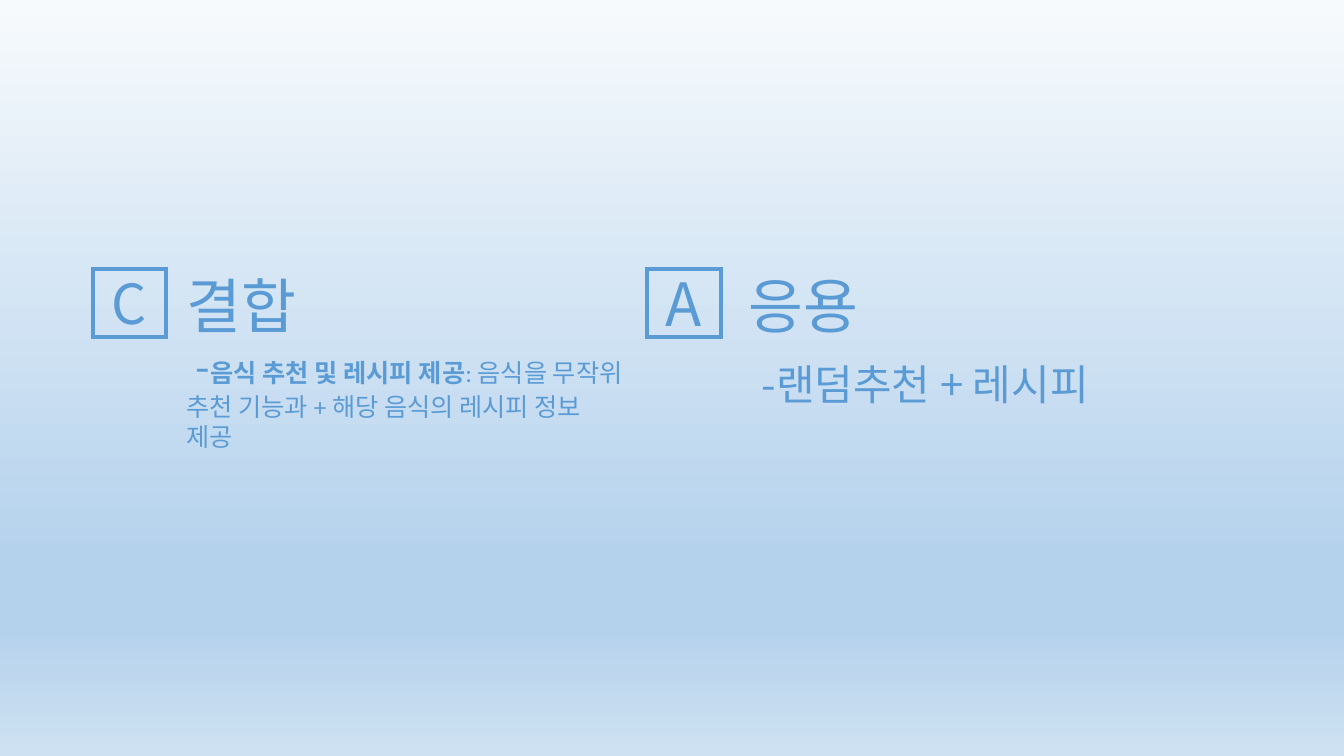
from dataclasses import dataclass

from lxml.etree import SubElement
from pptx import Presentation
from pptx.dml.color import RGBColor
from pptx.enum.shapes import MSO_SHAPE
from pptx.enum.text import MSO_ANCHOR, MSO_AUTO_SIZE, PP_ALIGN
from pptx.oxml.ns import qn
from pptx.util import Inches, Pt


@dataclass(frozen=True)
class Theme:
    blue: RGBColor = RGBColor(0x5B, 0x9B, 0xD5)
    sky: tuple = ((0, "F7FAFD"), (74, "B5D2EC"), (83, "B5D2EC"), (100, "CEE1F2"))
    korean: str = "Noto Sans CJK KR"
    latin: str = "Calibri"
    heading: float = 42.6
    letter_c: float = 39.4
    idea: float = 30
    detail: float = 18
    spacing: float = 1.0


THEME = Theme()


def paint_sky(slide):
    fill = slide.background.fill
    fill.gradient()
    fill.gradient_angle = 270
    stops = slide.element.find(".//" + qn("a:gsLst"))
    for stop in list(stops):
        stops.remove(stop)
    for percent, color in THEME.sky:
        stop = SubElement(stops, qn("a:gs"), pos=str(percent * 1000))
        SubElement(stop, qn("a:srgbClr"), val=color)


def add_run(paragraph, text, size, latin=THEME.korean, bold=False):
    run = paragraph.add_run()
    run.text = text
    run.font.size = Pt(size)
    run.font.bold = bold
    run.font.color.rgb = THEME.blue
    run.font.name = latin
    SubElement(run.font._element, qn("a:ea"), typeface=THEME.korean)


def add_badge(slide, left, top, letter, size):
    badge = slide.shapes.add_shape(
        MSO_SHAPE.RECTANGLE, Inches(left), Inches(top), Inches(0.73), Inches(0.67))
    badge.shadow.inherit = False
    badge.fill.background()
    badge.line.color.rgb = THEME.blue
    badge.line.width = Pt(3)
    SubElement(badge.element.find(".//" + qn("a:ln")), qn("a:miter"), lim="800000")
    frame = badge.text_frame
    frame.word_wrap = False
    frame.vertical_anchor = MSO_ANCHOR.MIDDLE
    frame.paragraphs[0].alignment = PP_ALIGN.CENTER
    add_run(frame.paragraphs[0], letter, size)


def fill_body(body, left, top, width, height, paragraphs):
    body.left, body.top = Inches(left), Inches(top)
    body.width, body.height = Inches(width), Inches(height)
    frame = body.text_frame
    frame.word_wrap = True
    frame.auto_size = MSO_AUTO_SIZE.NONE
    frame.vertical_anchor = MSO_ANCHOR.TOP
    frame.margin_left = frame.margin_right = frame.margin_top = frame.margin_bottom = 0
    for index, runs in enumerate(paragraphs):
        paragraph = frame.add_paragraph() if index else frame.paragraphs[0]
        properties = paragraph._p.get_or_add_pPr()
        properties.set("marL", "0")
        properties.set("indent", "0")
        SubElement(properties, qn("a:buNone"))
        paragraph.line_spacing = THEME.spacing
        paragraph.space_before = Pt(0)
        for run in runs:
            add_run(paragraph, *run)


def add_technique(slide, body, box, text_offset, letter, letter_size, heading, idea):
    left, top, width, height = box
    add_badge(slide, left, top, letter, letter_size)
    fill_body(body, left + text_offset, top, width - text_offset, height,
              [[(heading, THEME.heading)], idea])


def build_ideas_slide(deck):
    slide = deck.slides.add_slide(deck.slide_layouts[3])
    paint_sky(slide)
    title, combine, adapt = list(slide.placeholders)[:3]
    title.element.getparent().remove(title.element)
    add_technique(
        slide, combine, (0.92, 2.67, 5.3, 1.22), 0.93, "C", THEME.letter_c, "결합",
        [(" -", THEME.idea),
         ("음식 추천 및 레시피 제공", THEME.detail, THEME.latin, True),
         (": 음식을 무작위 추천 기능과 + 해당 음식의 레시피 정보 제공",
          THEME.detail, THEME.latin)])
    add_technique(
        slide, adapt, (6.42, 2.67, 6.31, 1.74), 1, "A", THEME.heading, "응용",
        [(" ", THEME.heading), ("-랜덤추천 + 레시피", THEME.idea)])


def main():
    deck = Presentation()
    deck.slide_width, deck.slide_height = Inches(13.33), Inches(7.5)
    build_ideas_slide(deck)
    deck.save("out.pptx")


if __name__ == "__main__":
    main()
